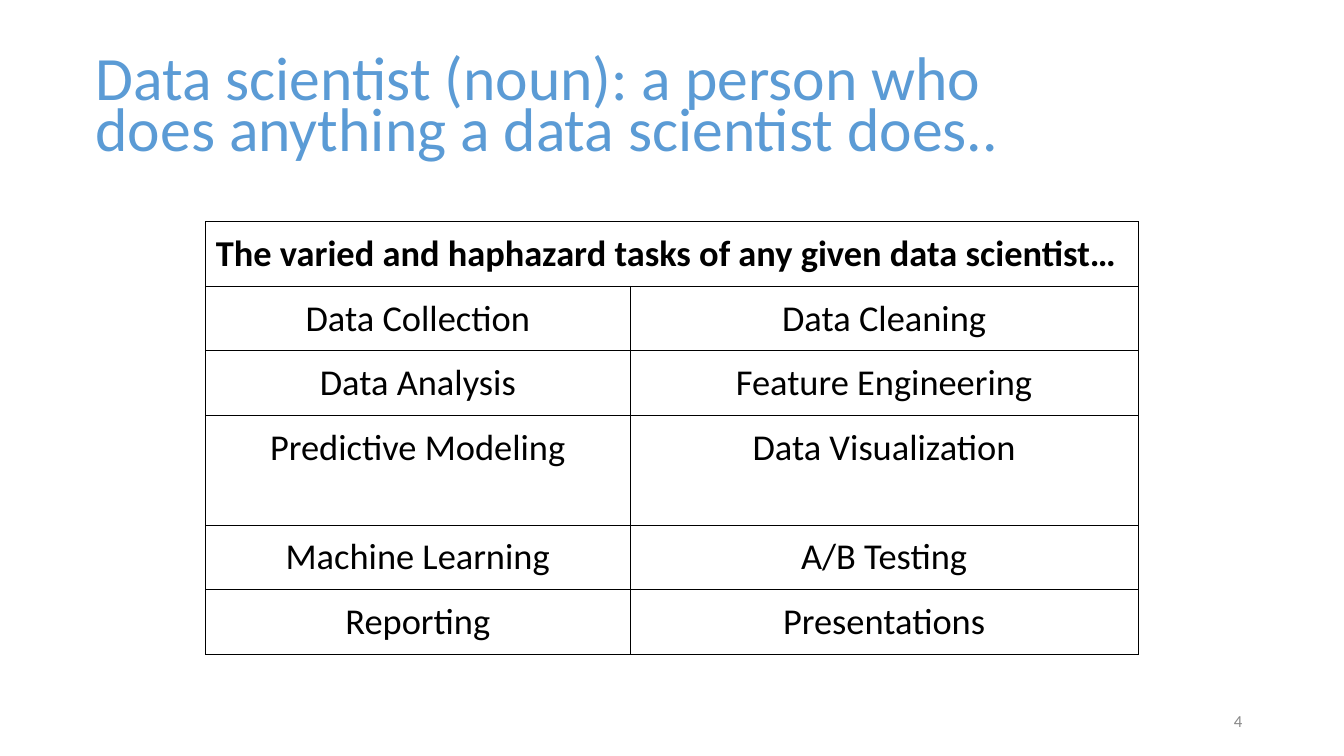
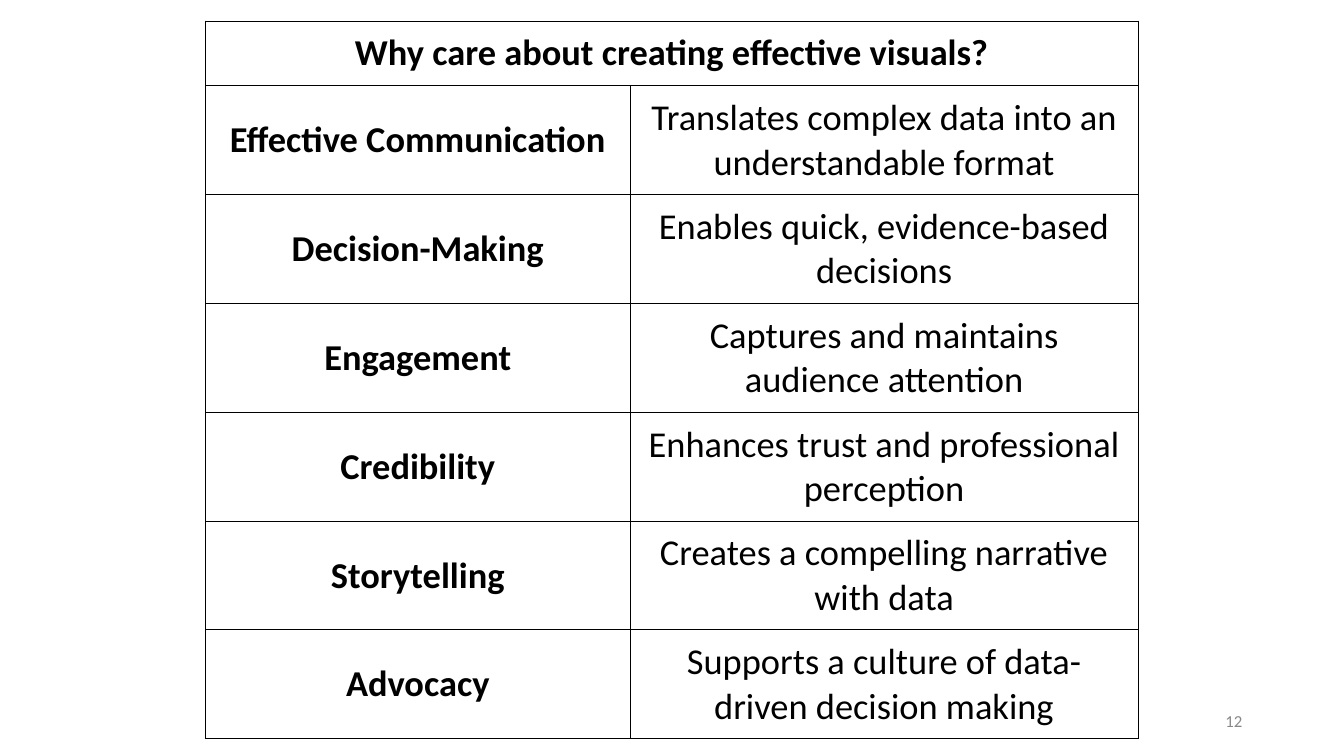
from lxml.etree import fromstring
from pptx import Presentation
from pptx.dml.color import RGBColor
from pptx.enum.text import MSO_ANCHOR as Anchor, PP_ALIGN as Align
from pptx.util import Emu, Pt

PX = 9144
FONT = "Calibri"
BLACK, BLUE, GRAY = "000000", "5B9BD5", "888888"
TABLE_LEFT = 204
COLUMN_WIDTHS = [421, 504]
CELL_MARGIN = 10
BORDER = (
    '<a:{side} xmlns:a="http://schemas.openxmlformats.org/drawingml/2006/main" w="9525">'
    '<a:solidFill><a:srgbClr val="{color}"/></a:solidFill></a:{side}>'
)

SLIDES = [
    {
        "number": 4,
        "title": "Data scientist (noun): a person who does anything a data scientist does..",
        "header": "The varied and haphazard tasks of any given data scientist…",
        "header_align": Align.LEFT,
        "bold_labels": False,
        "top": 220,
        "heights": [64, 64, 64, 109, 64, 64],
        "top_row": 3,
        "rows": [
            ("Data Collection", "Data Cleaning"),
            ("Data Analysis", "Feature Engineering"),
            ("Predictive Modeling", "Data Visualization"),
            ("Machine Learning", "A/B Testing"),
            ("Reporting", "Presentations"),
        ],
    },
    {
        "number": 12,
        "title": None,
        "header": "Why care about creating effective visuals?",
        "header_align": Align.CENTER,
        "bold_labels": True,
        "top": 21,
        "heights": [64] + [108] * 6,
        "top_row": None,
        "rows": [
            ("Effective Communication", "Translates complex data into an understandable format"),
            ("Decision-Making", "Enables quick, evidence-based decisions"),
            ("Engagement", "Captures and maintains audience attention"),
            ("Credibility", "Enhances trust and professional perception"),
            ("Storytelling", "Creates a compelling narrative with data"),
            ("Advocacy", "Supports a culture of data-driven decision making"),
        ],
    },
]


def style_text(frame, text, size, color, align=Align.LEFT, bold=False):
    paragraph = frame.paragraphs[0]
    paragraph.text = text
    paragraph.alignment = align
    paragraph.font.name = FONT
    paragraph.font.size = Pt(size)
    paragraph.font.bold = bold
    paragraph.font.color.rgb = RGBColor.from_string(color)
    return paragraph


def add_text(slide, box, text, size, color, align=Align.LEFT):
    frame = slide.shapes.add_textbox(*[Emu(length * PX) for length in box]).text_frame
    frame.word_wrap = True
    frame.vertical_anchor = Anchor.MIDDLE
    return style_text(frame, text, size, color, align)


presentation = Presentation()
presentation.slide_width = Emu(1333 * PX)
presentation.slide_height = Emu(750 * PX)

for content in SLIDES:
    slide = presentation.slides.add_slide(presentation.slide_layouts[6])
    add_text(slide, (942, 695, 300, 40), str(content["number"]), 12, GRAY, Align.RIGHT)
    if content["title"]:
        title = add_text(slide, (85, 48, 1000, 123), content["title"], 44, BLUE)
        title.line_spacing = 0.7

    heights = content["heights"]
    bounds = (TABLE_LEFT, content["top"], sum(COLUMN_WIDTHS), sum(heights))
    table = slide.shapes.add_table(
        len(heights), len(COLUMN_WIDTHS), *[Emu(length * PX) for length in bounds]
    ).table
    table.first_row = False
    table.horz_banding = False
    for column, width in zip(table.columns, COLUMN_WIDTHS):
        column.width = Emu(width * PX)
    for row, height in zip(table.rows, heights):
        row.height = Emu(height * PX)
    table.cell(0, 0).merge(table.cell(0, 1))

    for row_index, texts in enumerate([(content["header"], "")] + content["rows"]):
        is_header = row_index == 0
        align = content["header_align"] if is_header else Align.CENTER
        for column_index, text in enumerate(texts):
            cell = table.cell(row_index, column_index)
            cell.margin_left = cell.margin_right = Emu(CELL_MARGIN * PX)
            cell.margin_top = cell.margin_bottom = Emu(CELL_MARGIN * PX)
            cell.vertical_anchor = Anchor.TOP if row_index == content["top_row"] else Anchor.MIDDLE
            cell.fill.background()
            properties = cell._tc.get_or_add_tcPr()
            for position, side in enumerate(("lnL", "lnR", "lnT", "lnB")):
                properties.insert(position, fromstring(BORDER.format(side=side, color=BLACK)))
            if not cell.is_spanned:
                bold = is_header or (content["bold_labels"] and column_index == 0)
                style_text(cell.text_frame, text, 26, BLACK, align, bold)

presentation.save("out.pptx")
